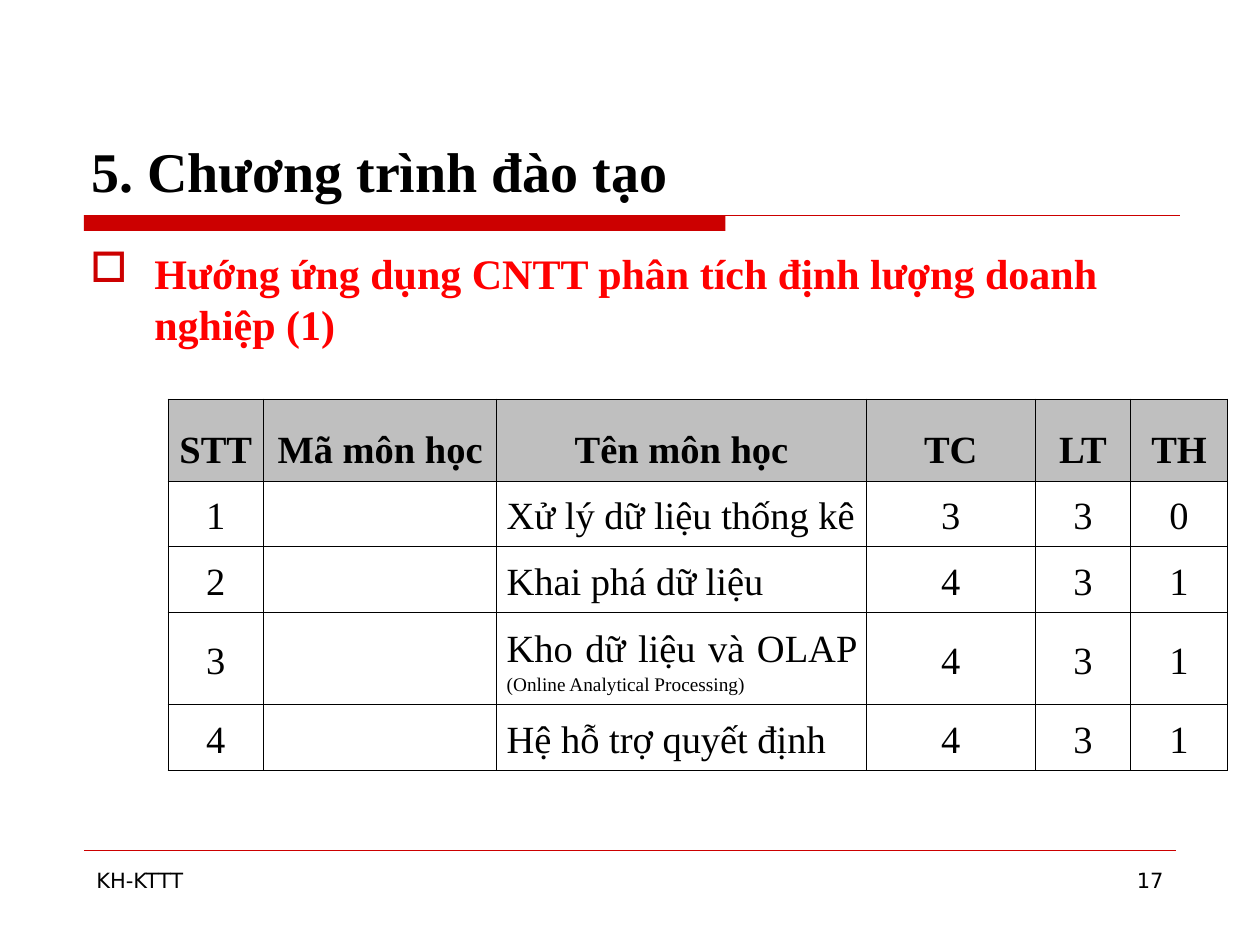
from lxml.etree import SubElement
from pptx import Presentation
from pptx.dml.color import RGBColor
from pptx.enum.shapes import MSO_CONNECTOR, MSO_SHAPE
from pptx.enum.text import MSO_ANCHOR, PP_ALIGN
from pptx.oxml.ns import qn
from pptx.util import Inches, Pt

COLORS = {"accent": "CC0000", "heading": "FF0000", "text": "000000", "header": "BFBFBF"}
SERIF, SANS = "Times New Roman", "DejaVu Sans"

presentation = Presentation()
presentation.slide_width, presentation.slide_height = Inches(10), Inches(7.5)
slide = presentation.slides.add_slide(presentation.slide_layouts[6])
unit = presentation.slide_width / 120  # the slide is a grid of 120 columns and 90 rows


def grid(*counts):
    return [round(count * unit) for count in counts]


def write(paragraph, text, size, font=SERIF, color="text", bold=False, **layout):
    """Add one formatted run and set the paragraph attributes given in layout."""
    run = paragraph.add_run()
    run.text = text
    run.font.color.rgb = RGBColor.from_string(COLORS[color])
    for name, value in {"name": font, "size": Pt(size), "bold": bold}.items():
        setattr(run.font, name, value)
    for name, value in layout.items():
        setattr(paragraph, name, value)


# Title bar and thin rules
bar = slide.shapes.add_shape(MSO_SHAPE.RECTANGLE, *grid(8, 20.5, 61.1, 1.5))
bar.shadow.inherit = False
bar.fill.solid()
bar.fill.fore_color.rgb = RGBColor.from_string(COLORS["accent"])
bar.line.fill.background()

for right, row, width in [(112.4, 20.5, 0.75), (112, 81, 0.25)]:
    rule = slide.shapes.add_connector(MSO_CONNECTOR.STRAIGHT, *grid(8, row, right, row))
    rule.line.color.rgb = RGBColor.from_string(COLORS["accent"])
    rule.line.width = Pt(width)
    SubElement(rule._element.spPr, qn("a:effectLst"))

# Title, heading and footer
texts = [
    ("5. Chương trình đào tạo", (7.5, 4, 105, 16), MSO_ANCHOR.BOTTOM,
     {"size": 32, "bold": True}),
    ("Hướng ứng dụng CNTT phân tích định lượng doanh nghiệp (1)", (7.4, 23, 105, 56),
     MSO_ANCHOR.TOP, {"size": 24, "bold": True, "color": "heading", "space_before": Pt(6)}),
    ("KH-KTTT", (8, 82, 26, 6.2), MSO_ANCHOR.TOP, {"size": 12, "font": SANS}),
    ("17", (86, 82, 26, 6.2), MSO_ANCHOR.TOP,
     {"size": 12, "font": SANS, "alignment": PP_ALIGN.RIGHT}),
]
for text, place, anchor, style in texts:
    frame = slide.shapes.add_textbox(*grid(*place)).text_frame
    frame.word_wrap = True
    frame.vertical_anchor = anchor
    write(frame.paragraphs[0], text, **style)
    if style.get("color") == "heading":
        properties = frame.paragraphs[0]._p.get_or_add_pPr()
        properties.set("marL", str(Inches(0.51)))
        properties.set("indent", str(-Inches(0.51)))
        bullet_color = SubElement(properties, qn("a:buClr"))
        SubElement(bullet_color, qn("a:srgbClr"), val=COLORS["accent"])
        SubElement(properties, qn("a:buChar"), char="□")

# Course table
rows = [
    ["STT", "Mã môn học", "Tên môn học", "TC", "LT", "TH"],
    ["1", "", "Xử lý dữ liệu thống kê", "3", "3", "0"],
    ["2", "", "Khai phá dữ liệu", "4", "3", "1"],
    ["3", "", "Kho dữ liệu và OLAP ", "4", "3", "1"],
    ["4", "", "Hệ hỗ trợ quyết định", "4", "3", "1"],
]
notes = {(3, 2): "(Online Analytical Processing)"}
column_widths = grid(9.1, 22.2, 35.2, 16.1, 9.1, 9.2)
row_heights = grid(6.7, 5.2, 5.2, 7.6, 5.2)
name_column = 2

table = slide.shapes.add_table(len(rows), len(rows[0]), *grid(16, 38),
                               sum(column_widths), sum(row_heights)).table
for column, width in zip(table.columns, column_widths):
    column.width = width
for row, height in zip(table.rows, row_heights):
    row.height = height

for row_index, row in enumerate(rows):
    is_header = row_index == 0
    for column_index, text in enumerate(row):
        cell = table.cell(row_index, column_index)
        cell.vertical_anchor = MSO_ANCHOR.MIDDLE
        cell.margin_left = cell.margin_right = Inches(0.08)
        cell.margin_top = cell.margin_bottom = Inches(0.05)

        cell_properties = cell._tc.get_or_add_tcPr()
        for side in ("a:lnL", "a:lnR", "a:lnT", "a:lnB"):
            border = SubElement(cell_properties, qn(side), w=str(Pt(0.45)))
            border_fill = SubElement(border, qn("a:solidFill"))
            SubElement(border_fill, qn("a:srgbClr"), val=COLORS["text"])
        if is_header:
            cell.fill.solid()
            cell.fill.fore_color.rgb = RGBColor.from_string(COLORS["header"])
        else:
            cell.fill.background()

        note = notes.get((row_index, column_index))
        alignment = PP_ALIGN.CENTER
        if column_index == name_column and not is_header:
            alignment = PP_ALIGN.JUSTIFY if note else PP_ALIGN.LEFT
        paragraph = cell.text_frame.paragraphs[0]
        if text:
            write(paragraph, text, 22, bold=is_header, alignment=alignment,
                  line_spacing=1.5 if is_header else 1.15,
                  space_before=Pt(6 if is_header else 3))
        if note:
            write(paragraph, note, 11)

presentation.save("out.pptx")
